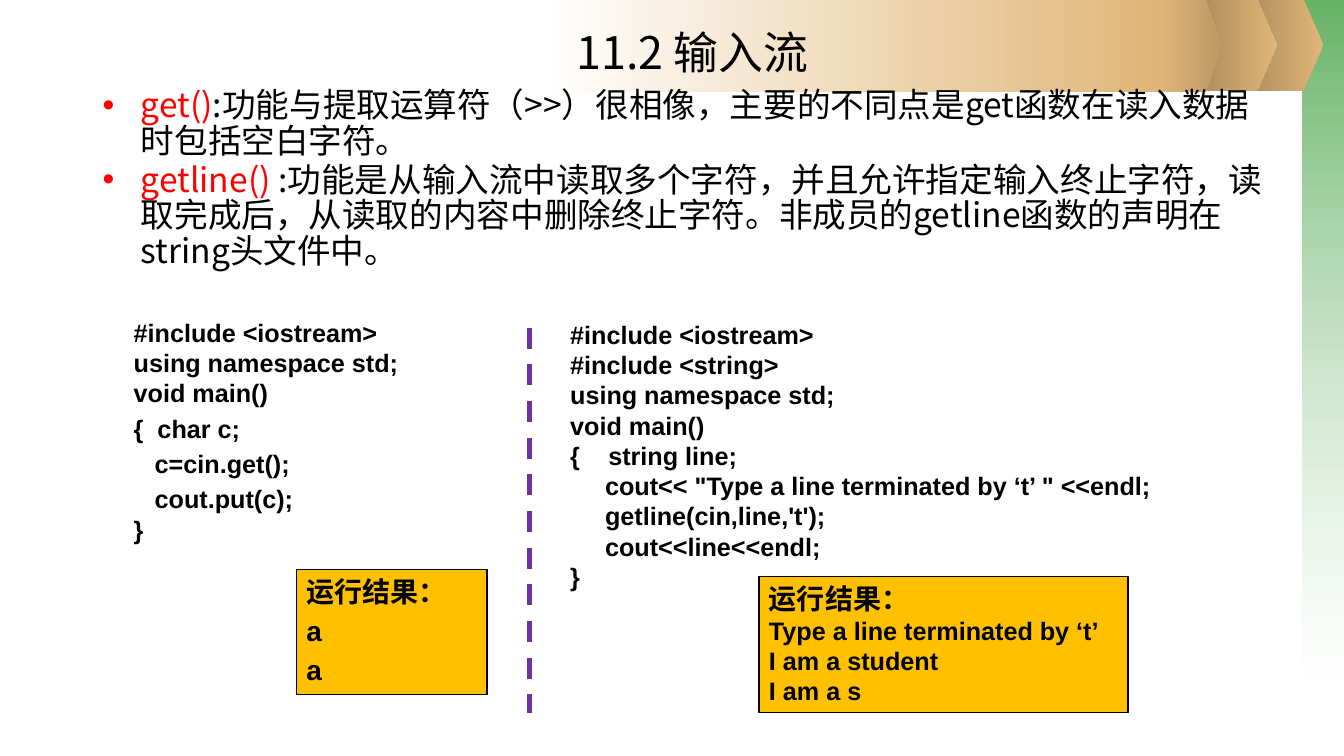
from dataclasses import dataclass

from lxml.etree import SubElement
from pptx import Presentation
from pptx.dml.color import RGBColor
from pptx.enum.dml import MSO_LINE
from pptx.enum.shapes import MSO_CONNECTOR, MSO_SHAPE
from pptx.enum.text import MSO_ANCHOR, MSO_AUTO_SIZE, PP_ALIGN
from pptx.oxml.ns import qn
from pptx.shapes.autoshape import Shape
from pptx.slide import Slide
from pptx.util import Cm, Pt


@dataclass(frozen=True)
class Theme:
    cjk: str = "Noto Sans CJK SC"
    latin: str = "Arial"
    ink: str = "000000"
    keyword: str = "FF0000"
    divider: str = "7030A0"
    result: str = "FFC000"
    green: str = "339933"
    white: str = "FFFFFF"
    sand: str = "E0B678"
    brown: str = "AB8B5C"
    tan: str = "BD9965"
    title_size: int = 32
    body_size: int = 24
    code_size: int = 18
    result_size: int = 20


THEME = Theme()


@dataclass(frozen=True)
class Box:
    """Left, top, width and height in centimetres."""
    left: float
    top: float
    width: float
    height: float

    def lengths(self) -> tuple[Cm, Cm, Cm, Cm]:
        return Cm(self.left), Cm(self.top), Cm(self.width), Cm(self.height)


@dataclass(frozen=True)
class Band:
    kind: MSO_SHAPE
    box: Box
    start: str
    end: str
    angle: int = 0
    opacity: tuple[int, int] = (100, 100)


@dataclass(frozen=True)
class Line:
    """A line of code or output; indent and tab are in centimetres."""
    text: str
    size: int = THEME.code_size
    before: float = 0
    indent: float = 0
    tab: float = 0
    justified: bool = False


@dataclass(frozen=True)
class Point:
    term: str
    meaning: str


BANDS = [
    Band(MSO_SHAPE.RECTANGLE, Box(32.82, 0, 1.04, 17.2), THEME.green, THEME.white, 270, (75, 37)),
    Band(MSO_SHAPE.PENTAGON, Box(31.34, -0.02, 2.01, 2.31), THEME.brown, THEME.sand),
    Band(MSO_SHAPE.PENTAGON, Box(30.18, -0.02, 2.01, 2.31), THEME.brown, THEME.sand),
    Band(MSO_SHAPE.RECTANGLE, Box(13.61, 0, 15.6, 2.31), THEME.white, THEME.sand),
    Band(MSO_SHAPE.PENTAGON, Box(29.21, 0, 1.57, 2.31), THEME.sand, THEME.tan),
]
POINTS = [
    Point("get()", ":功能与提取运算符（>>）很相像，主要的不同点是get函数在读入数据时包括空白字符。"),
    Point("getline()", " :功能是从输入流中读取多个字符，并且允许指定输入终止字符，读取完成后，"
                       "从读取的内容中删除终止字符。非成员的getline函数的声明在string头文件中。"),
]
GETLINE_CODE = [
    Line("#include <iostream>"),
    Line("#include <string>"),
    Line("using namespace std;"),
    Line("void main()"),
    Line("{\tstring line;", tab=0.96),
    Line('cout<< "Type a line terminated by ‘t’ " <<endl;', indent=0.88),
    Line("getline(cin,line,'t');", indent=0.88),
    Line("cout<<line<<endl;", indent=0.88),
    Line("}"),
]
GET_CODE = [
    Line("#include <iostream>"),
    Line("using namespace std;"),
    Line("void main()"),
    Line("{\tchar c;", before=3.6, tab=0.6),
    Line("c=cin.get();", before=3.6, indent=0.53),
    Line("cout.put(c);", before=3.6, indent=0.53),
    Line("}"),
]
RESULT_HEADING = Line("运行结果：", THEME.result_size, 4, justified=True)
RESULT_A = Line("a", THEME.result_size, 4, justified=True)
GETLINE_RESULT = [RESULT_HEADING, Line("Type a line terminated by ‘t’"),
                  Line("I am a student"), Line("I am a s")]
GET_RESULT = [RESULT_HEADING, RESULT_A, RESULT_A]


def rgb(colour: str) -> RGBColor:
    return RGBColor.from_string(colour)


def set_font(font, name: str, size: int, bold: bool = False) -> None:
    font.name, font.size, font.bold = name, Pt(size), bold
    font.color.rgb = rgb(THEME.ink)
    east_asian = SubElement(font._element, qn("a:ea"), typeface=THEME.cjk)
    font._element.find(qn("a:latin")).addnext(east_asian)


def add_band(slide: Slide, band: Band) -> None:
    shape = slide.shapes.add_shape(band.kind, *band.box.lengths())
    shape.shadow.inherit = False
    shape.line.fill.background()
    if band.kind == MSO_SHAPE.PENTAGON:
        shape.adjustments[0] = 0.25
    shape.fill.gradient()
    shape.fill.gradient_angle = band.angle
    for stop, colour in zip(shape.fill.gradient_stops, (band.start, band.end)):
        stop.color.rgb = rgb(colour)
    for colour, percent in zip(shape.element.iter(qn("a:srgbClr")), band.opacity):
        if percent < 100:
            SubElement(colour, qn("a:alpha"), val=str(percent * 1000))


def place_title(slide: Slide, text: str, box: Box) -> None:
    title = slide.shapes.title
    title.left, title.top, title.width, title.height = box.lengths()
    # The title stands in front of the banner.
    title.element.getparent().append(title.element)
    frame = title.text_frame
    frame.text = text
    frame.vertical_anchor = MSO_ANCHOR.MIDDLE
    frame.auto_size = MSO_AUTO_SIZE.NONE
    paragraph = frame.paragraphs[0]
    paragraph.alignment = PP_ALIGN.CENTER
    set_font(paragraph.font, THEME.cjk, THEME.title_size)


def add_points(slide: Slide, points: list[Point], box: Box) -> None:
    frame = slide.shapes.add_textbox(*box.lengths()).text_frame
    frame.word_wrap = True
    for index, point in enumerate(points):
        paragraph = frame.add_paragraph() if index else frame.paragraphs[0]
        paragraph.line_spacing = 0.88
        paragraph.space_before = Pt(2.4)
        properties = paragraph._p.get_or_add_pPr()
        properties.set("marL", str(Cm(0.96)))
        properties.set("indent", str(-Cm(0.96)))
        bullet_colour = SubElement(properties, qn("a:buClr"))
        SubElement(bullet_colour, qn("a:srgbClr"), val=THEME.keyword)
        SubElement(properties, qn("a:buFont"), typeface=THEME.latin)
        SubElement(properties, qn("a:buChar"), char="•")
        set_font(paragraph.font, THEME.cjk, THEME.body_size)
        for text, colour in ((point.term, THEME.keyword), (point.meaning, THEME.ink)):
            run = paragraph.add_run()
            run.text = text
            run.font.color.rgb = rgb(colour)


def write_lines(shape: Shape, lines: list[Line]) -> None:
    frame = shape.text_frame
    frame.word_wrap = True
    frame.auto_size = MSO_AUTO_SIZE.SHAPE_TO_FIT_TEXT
    frame.vertical_anchor = MSO_ANCHOR.TOP
    for index, line in enumerate(lines):
        paragraph = frame.add_paragraph() if index else frame.paragraphs[0]
        paragraph.text = line.text
        paragraph.alignment = PP_ALIGN.JUSTIFY if line.justified else PP_ALIGN.LEFT
        paragraph.space_before = Pt(line.before)
        properties = paragraph._p.get_or_add_pPr()
        properties.set("marL", str(Cm(line.indent)))
        if line.tab:
            stops = SubElement(properties, qn("a:tabLst"))
            SubElement(stops, qn("a:tab"), pos=str(Cm(line.tab)), algn="l")
        set_font(paragraph.font, THEME.latin, line.size, bold=True)


def add_divider(slide: Slide, x: float, top: float, bottom: float) -> None:
    divider = slide.shapes.add_connector(MSO_CONNECTOR.STRAIGHT, Cm(x), Cm(top), Cm(x), Cm(bottom))
    divider.line.color.rgb = rgb(THEME.divider)
    divider.line.width = Pt(3.75)
    divider.line.dash_style = MSO_LINE.DASH
    SubElement(divider.element.spPr, qn("a:effectLst"))


def add_result(slide: Slide, lines: list[Line], box: Box) -> None:
    result = slide.shapes.add_shape(MSO_SHAPE.RECTANGLE, *box.lengths())
    result.shadow.inherit = False
    result.fill.solid()
    result.fill.fore_color.rgb = rgb(THEME.result)
    result.line.color.rgb = rgb(THEME.ink)
    result.line.width = Pt(1)
    write_lines(result, lines)


def main() -> None:
    deck = Presentation()
    deck.slide_width, deck.slide_height = Cm(33.87), Cm(19.05)
    slide = deck.slides.add_slide(deck.slide_layouts[5])
    for band in BANDS:
        add_band(slide, band)
    place_title(slide, "11.2 输入流", Box(6.02, 0.33, 22.86, 1.93))
    add_points(slide, POINTS, Box(2.34, 2.13, 29.79, 5.79))
    for code, box in ((GETLINE_CODE, Box(14.12, 7.92, 15.49, 7.19)),
                      (GET_CODE, Box(3.12, 7.87, 8.2, 6.1))):
        write_lines(slide.shapes.add_textbox(*box.lengths()), code)
    add_divider(slide, 13.34, 8.26, 17.96)
    add_result(slide, GETLINE_RESULT, Box(19.13, 14.53, 9.3, 3.43))
    add_result(slide, GET_RESULT, Box(7.47, 14.35, 4.8, 3.15))
    deck.save("out.pptx")


if __name__ == "__main__":
    main()
